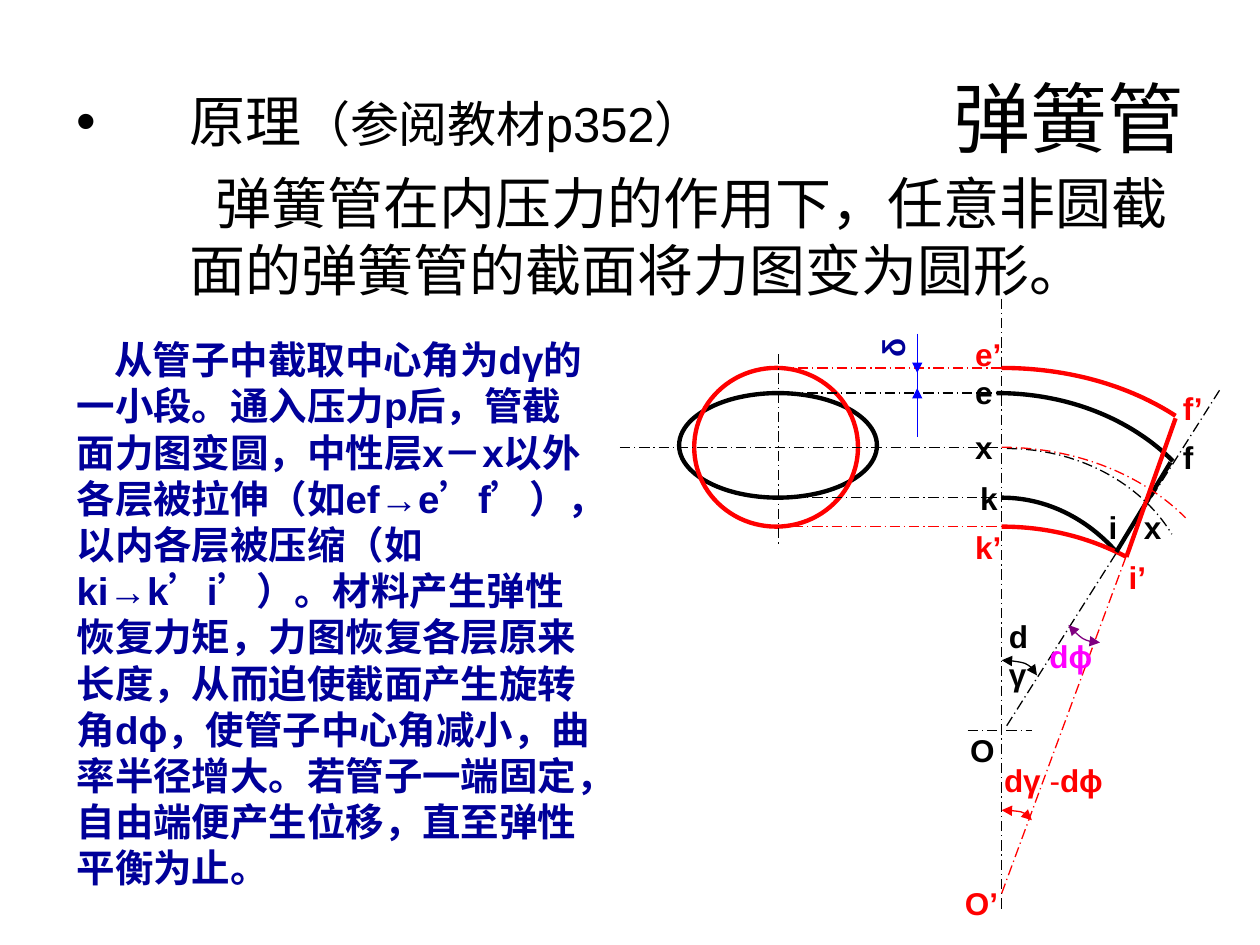
from pptx import Presentation
from pptx.dml.color import RGBColor
from pptx.enum.dml import MSO_LINE
from pptx.enum.shapes import MSO_CONNECTOR, MSO_SHAPE
from pptx.enum.text import MSO_ANCHOR, MSO_AUTO_SIZE, PP_ALIGN
from pptx.oxml.ns import qn
from pptx.util import Pt
from lxml.etree import SubElement

PX = 9144
THEME = {
    "font": "Arial",
    "black": "000000", "red": "FF0000", "navy": "000099", "blue": "0000FF",
    "purple": "800080", "magenta": "FF00FF",
    "title": 44, "body": 32, "reference": 28, "detail": 22, "label": 18,
    "thin": 0.75, "thick": 2.5,
}

TITLE = "弹簧管"
PRINCIPLE = [("原理", "body"), ("（参阅教材p352）", "reference")]
STATEMENT = "弹簧管在内压力的作用下，任意非圆截面的弹簧管的截面将力图变为圆形。"
EXPLANATION = (
    "从管子中截取中心角为dγ的一小段。通入压力p后，管截面力图变圆，"
    "中性层x－x以外各层被拉伸（如ef→e’f’），以内各层被压缩（如ki→k’i’）。"
    "材料产生弹性恢复力矩，力图恢复各层原来长度，从而迫使截面产生旋转角dϕ，"
    "使管子中心角减小，曲率半径增大。若管子一端固定，自由端便产生位移，直至弹性平衡为止。"
)

AXIS = 795
TOP, BOTTOM = 312, 395
RED_TOP, RED_BOTTOM = 292, 418
NEUTRAL = 355
DELTA_X = 728

SECTIONS = [
    ((539, TOP, 157, BOTTOM - TOP), "black"),
    ((551, RED_TOP, 130, RED_BOTTOM - RED_TOP), "red"),
]
CENTRE_LINES = [
    ((492, NEUTRAL), (AXIS, NEUTRAL), "black"),
    ((AXIS, 237), (AXIS, 722), "black"),
    ((610, TOP), (791, TOP), "black"),
    ((614, BOTTOM), (AXIS, BOTTOM), "black"),
    ((618, 281), (618, 434), "black"),
    ((799, 576), (969, 308), "black"),
    ((768, 580), (819, 580), "black"),
    ((AXIS, 709), (898, 430), "red"),
    ((618, RED_TOP), (799, RED_TOP), "red"),
    ((614, RED_BOTTOM), (AXIS, RED_BOTTOM), "red"),
]
TUBE_ENDS = [((929, 367), (886, 438), "black"), ((933, 332), (894, 442), "red")]
TUBE_WALLS = [
    ([(791, TOP), (848, TOP), (898, 333), (931, 366)], "black"),
    ([(AXIS, BOTTOM), (831, BOTTOM), (863, 412), (886, 438)], "black"),
    ([(AXIS, RED_TOP), (848, RED_TOP), (896, 306), (933, 330)], "red"),
    ([(AXIS, RED_BOTTOM), (832, RED_BOTTOM), (865, 427), (894, 442)], "red"),
]
NEUTRAL_LAYERS = [
    ([(799, 356), (856, 356), (906, 384), (930, 424)], "black"),
    ([(AXIS, NEUTRAL), (854, NEUTRAL), (907, 377), (941, 411)], "red"),
]
ANGLES = [
    ([(AXIS, 524), (811, 524), (823, 530), (823, 536)], "black"),
    ([(AXIS, 643), (808, 643), (819, 646), (819, 651)], "red"),
    ([(848, 496), (855, 505), (865, 511), (873, 510)], "purple"),
]
DELTA_LINES = [
    ((DELTA_X, 265), (DELTA_X, 347), ()),
    ((DELTA_X, 265), (DELTA_X, 296), ("tailEnd",)),
    ((DELTA_X, 340), (DELTA_X, 308), ("tailEnd",)),
]
POINTS = [
    ("O", 760, 575, "black"), ("O’", 756, 697, "red"),
    ("x", 764, 335, "black"), ("x", 898, 398, "black"),
    ("e", 764, 291, "black"), ("f", 929, 343, "black"),
    ("k", 768, 375, "black"), ("i", 870, 398, "black"),
    ("e’", 764, 261, "red"), ("f’", 929, 304, "red"),
    ("k’", 764, 414, "red"), ("i’", 886, 438, "red"),
]


def emu(*lengths):
    return [length * PX for length in lengths]


def color(name):
    return RGBColor.from_string(THEME[name])


def add_run(paragraph, text, size, ink="black", bold=False):
    run = paragraph.add_run()
    run.text = text
    run.font.name = THEME["font"]
    run.font.size = Pt(THEME[size])
    run.font.bold = bold
    run.font.color.rgb = color(ink)


def indent(paragraph, left, first):
    properties = paragraph._p.get_or_add_pPr()
    properties.set("marL", str(left * PX))
    properties.set("indent", str(first * PX))
    return properties


def place(holder, box):
    holder.left, holder.top, holder.width, holder.height = emu(*box)
    frame = holder.text_frame
    frame.word_wrap = True
    frame.auto_size = MSO_AUTO_SIZE.NONE
    frame.paragraphs[0].space_before = Pt(0)
    return frame


def add_text(shapes, box, runs, rotation=0):
    holder = shapes.add_textbox(*emu(*box))
    holder.rotation = rotation
    paragraph = place(holder, box).paragraphs[0]
    for run in runs:
        add_run(paragraph, *run)
    return paragraph


def stroke(part, ink, weight, dashed=False, arrows=()):
    part.line.color.rgb = color(ink)
    part.line.width = Pt(THEME[weight])
    if dashed:
        part.line.dash_style = MSO_LINE.LONG_DASH_DOT
    for end in arrows:
        SubElement(part.line._get_or_add_ln(), qn(f"a:{end}"), type="triangle")


def add_line(shapes, start, end, ink, weight="thin", **style):
    line = shapes.add_connector(MSO_CONNECTOR.STRAIGHT, *emu(*start, *end))
    stroke(line, ink, weight, **style)
    SubElement(line._element.spPr, qn("a:effectLst"))


def add_curve(shapes, points, ink, weight="thin", **style):
    builder = shapes.build_freeform(*points[0], scale=PX)
    builder.add_line_segments(points[1:], close=False)
    curve = builder.convert_to_shape()
    outline = next(curve._element.iter(qn("a:path")))
    bezier = SubElement(outline, qn("a:cubicBezTo"))
    for segment in outline.findall(qn("a:lnTo")):
        bezier.append(segment[0])
        outline.remove(segment)
    curve.fill.background()
    curve.shadow.inherit = False
    stroke(curve, ink, weight, **style)


def add_section(shapes, box, ink):
    section = shapes.add_shape(MSO_SHAPE.OVAL, *emu(*box))
    section.fill.background()
    section.shadow.inherit = False
    stroke(section, ink, "thick")


def add_words(slide):
    title = place(slide.shapes.title, (50, 30, 900, 125))
    title.vertical_anchor = MSO_ANCHOR.MIDDLE
    title.paragraphs[0].alignment = PP_ALIGN.RIGHT
    add_run(title.paragraphs[0], TITLE, "title")

    body = place(slide.placeholders[1], (51, 64, 902, 197))
    principle, statement = body.paragraphs[0], body.add_paragraph()
    indent(principle, 89, -89)
    for text, size in PRINCIPLE:
        add_run(principle, text, size)
    statement.space_before = Pt(8)
    SubElement(indent(statement, 89, 21), qn("a:buNone"))
    add_run(statement, STATEMENT, "body")

    explanation = add_text(slide.shapes, (51, 262, 429, 453),
                           [(EXPLANATION, "detail", "navy", True)])
    indent(explanation, 0, 30)


def add_figure(shapes):
    for box, ink in SECTIONS:
        add_section(shapes, box, ink)
    for start, end, ink in CENTRE_LINES:
        add_line(shapes, start, end, ink, dashed=True)
    for points, ink in TUBE_WALLS:
        add_curve(shapes, points, ink, "thick")
    for start, end, ink in TUBE_ENDS:
        add_line(shapes, start, end, ink, "thick")
    for points, ink in NEUTRAL_LAYERS:
        add_curve(shapes, points, ink, dashed=True)
    for points, ink in ANGLES:
        add_curve(shapes, points, ink, arrows=("headEnd", "tailEnd"))
    for start, end, arrows in DELTA_LINES:
        add_line(shapes, start, end, "blue", arrows=arrows)
    for text, left, top, ink in POINTS:
        add_text(shapes, (left, top, 51, 40), [(text, "label", ink, True)])
    add_text(shapes, (791, 485, 47, 70), [("dγ", "label", "black", True)])
    add_text(shapes, (787, 599, 102, 40), [
        ("dγ", "label", "red", True), (" -", "label", "red"), ("dϕ", "label", "red", True)])
    add_text(shapes, (823, 501, 75, 40), [("dϕ", "label", "magenta", True)])
    add_text(shapes, (692, 257, 33, 40), [("δ", "label", "navy", True)], rotation=270)


def main():
    deck = Presentation()
    deck.slide_width, deck.slide_height = emu(1000, 750)
    slide = deck.slides.add_slide(deck.slide_layouts[1])
    add_words(slide)
    add_figure(slide.shapes.add_group_shape().shapes)
    deck.save("out.pptx")


if __name__ == "__main__":
    main()
